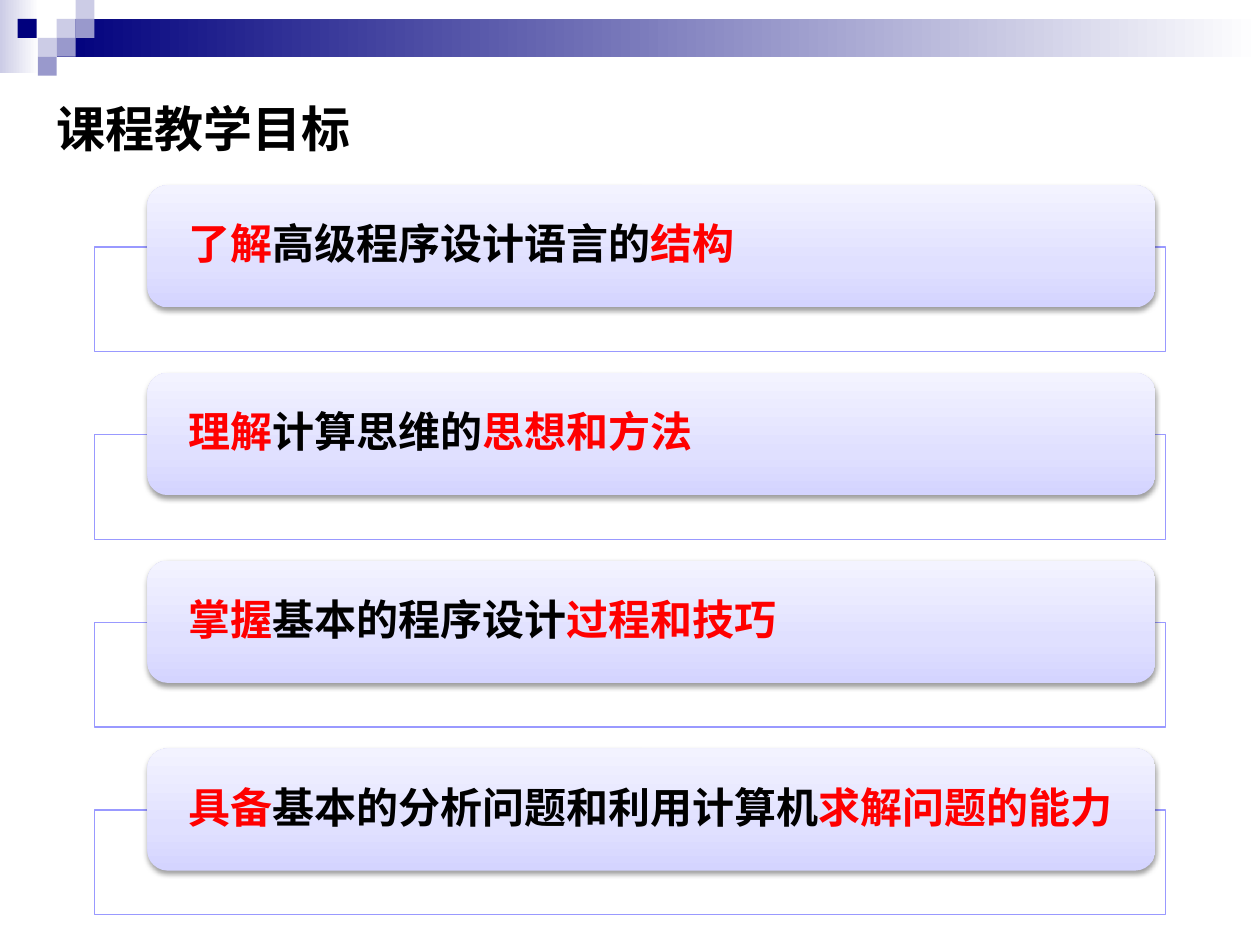
from lxml import etree
from pptx import Presentation
from pptx import util as u
from pptx.dml.color import RGBColor
from pptx.enum import shapes, text
from pptx.oxml.ns import qn

COLORS = {
    "navy": "00007D", "pale": "CCCCE6", "mid": "9999CC", "white": "FFFFFF",
    "black": "000000", "red": "FF0000", "frame": "9999FF",
    "card_bottom": "D4D4FF", "card_middle": "E0E0FF", "card_top": "F3F3FF",
}
CJK_FONT = "Noto Sans CJK SC"
TILE = 0.15
ROW_TOP, ROW_PITCH = 1.47, 1.49

# Left, top and colour of the mosaic tiles
TILES = [
    (0.45, 0.15, "pale"), (0.6, 0, "pale"), (0.6, 0.15, "mid"),
    (0.3, 0.3, "pale"), (0.14, 0.15, "navy"), (0.45, 0.3, "mid"),
    (0.3, 0.45, "mid"),
]
# Red opening, black middle and red ending of each goal
GOALS = [
    ("了解", "高级程序设计语言的", "结构"),
    ("理解", "计算思维的", "思想和方法"),
    ("掌握", "基本的程序设计", "过程和技巧"),
    ("具备", "基本的分析问题和利用计算机", "求解问题的能力"),
]


def rgb(name):
    return RGBColor.from_string(COLORS[name])


def add_color(parent, name, alpha=None):
    color = etree.SubElement(parent, qn("a:srgbClr"), val=COLORS[name])
    if alpha is not None:
        etree.SubElement(color, qn("a:alpha"), val=str(alpha * 1000))


def add_block(slide, left, top, width, height, kind=shapes.MSO_SHAPE.RECTANGLE):
    block = slide.shapes.add_shape(kind, *map(u.Inches, (left, top, width, height)))
    block.shadow.inherit = False
    block.line.fill.background()
    return block


def fill_solid(block, color):
    block.fill.solid()
    block.fill.fore_color.rgb = rgb(color)


def fill_gradient(block, stops, angle=0):
    block.fill.gradient()
    block.fill.gradient_angle = angle
    stop_list = block.element.spPr.find(".//" + qn("a:gsLst"))
    for old_stop in list(stop_list):
        stop_list.remove(old_stop)
    for position, color in stops:
        stop = etree.SubElement(stop_list, qn("a:gs"), pos=str(position * 1000))
        add_color(stop, color)


def add_soft_shadow(block):
    effects = block.element.spPr.find(qn("a:effectLst"))
    shadow = etree.SubElement(
        effects, qn("a:outerShdw"), blurRad=str(u.Pt(3.1)), dist=str(u.Pt(1.6)),
        dir="5400000", rotWithShape="0")
    add_color(shadow, "black", 38)


def set_font(paragraph, name, size):
    font = paragraph.font
    font.name, font.size, font.bold = name, u.Pt(size), True
    defaults = paragraph._p.pPr.find(qn("a:defRPr"))
    etree.SubElement(defaults, qn("a:ea"), typeface=CJK_FONT)


def add_banner(slide):
    edge = add_block(slide, 0, 0, 0.31, 0.58)
    fill_gradient(edge, [(0, "pale"), (100, "white")])
    bar = add_block(slide, 0.45, 0.15, 9.55, 0.3)
    fill_gradient(bar, [(0, "navy"), (100, "white")])
    for left, top, color in TILES:
        fill_solid(add_block(slide, left, top, TILE, TILE), color)


def add_title(slide, words):
    title = slide.shapes.add_textbox(*map(u.Inches, (0.35, 0.73, 7.09, 0.57)))
    title.text_frame.word_wrap = True
    paragraph = title.text_frame.paragraphs[0]
    paragraph.text = words
    set_font(paragraph, CJK_FONT, 28)
    paragraph.font.color.rgb = rgb("black")


def add_goal(slide, top, parts):
    # Outlined panel behind the card
    panel = add_block(slide, 0.75, top + 0.49, 8.5, 0.83)
    fill_solid(panel, "white")
    panel.line.color.rgb = rgb("frame")
    panel.line.width = u.Pt(0.75)

    # Card with its text
    card = add_block(slide, 1.17, top, 8, 0.97, shapes.MSO_SHAPE.ROUNDED_RECTANGLE)
    fill_gradient(card, [(0, "card_bottom"), (35, "card_middle"), (100, "card_top")], 90)
    add_soft_shadow(card)
    frame = card.text_frame
    frame.word_wrap = True
    frame.vertical_anchor = text.MSO_ANCHOR.MIDDLE
    frame.margin_left = frame.margin_right = u.Inches(0.28)
    frame.margin_top = frame.margin_bottom = 0
    paragraph = frame.paragraphs[0]
    paragraph.alignment = text.PP_ALIGN.LEFT
    paragraph.line_spacing = 0.9
    set_font(paragraph, "Arial", 24)
    for words, color in zip(parts, ("red", "black", "red")):
        run = paragraph.add_run()
        run.text = words
        run.font.color.rgb = rgb(color)


def main():
    deck = Presentation()
    deck.slide_width, deck.slide_height = u.Inches(10), u.Inches(7.5)
    slide = deck.slides.add_slide(deck.slide_layouts[6])
    add_banner(slide)
    add_title(slide, "课程教学目标")
    for row, parts in enumerate(GOALS):
        add_goal(slide, ROW_TOP + row * ROW_PITCH, parts)
    deck.save("out.pptx")


if __name__ == "__main__":
    main()
